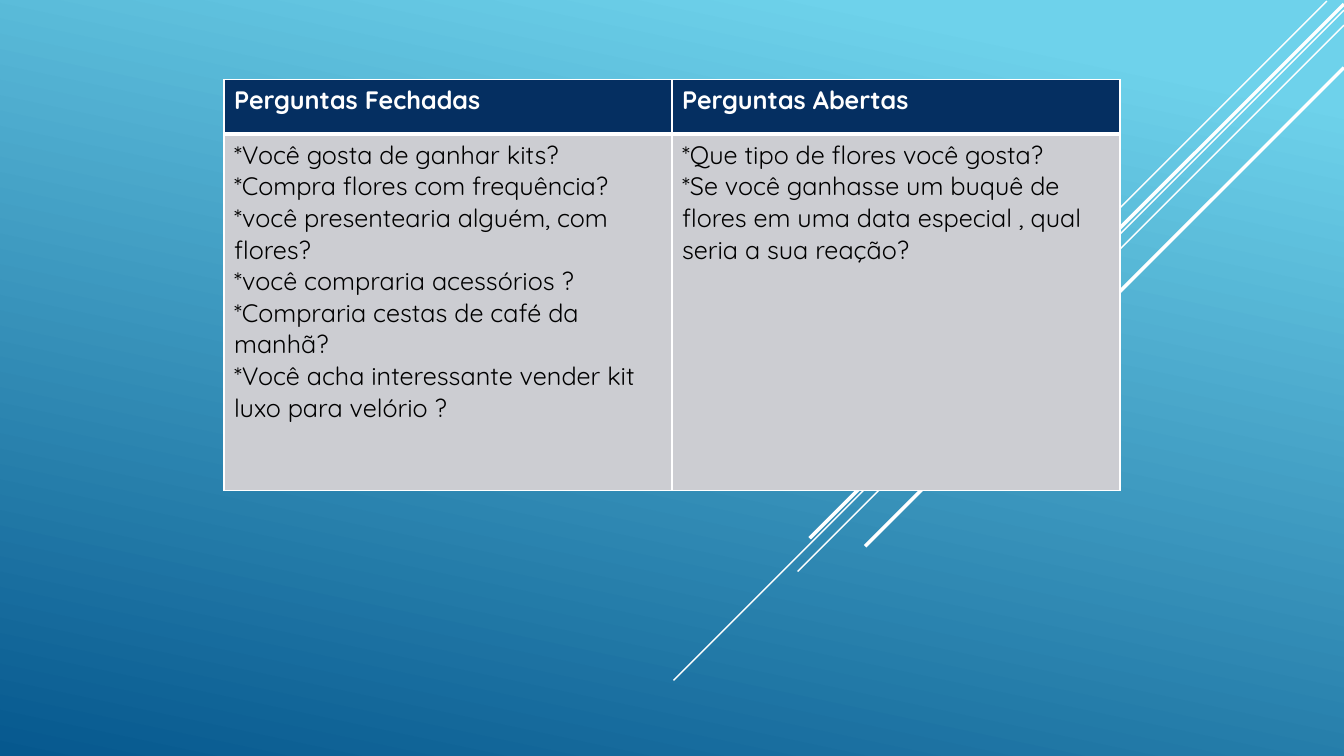
import pptx
import pptx.dml.color
import pptx.enum.shapes
import pptx.oxml
import pptx.oxml.ns
import pptx.util
from lxml import etree

COLUMNS = [
    ("Perguntas Fechadas", [
        "*Você gosta de ganhar kits?",
        "*Compra flores com frequência?",
        "*você presentearia alguém, com flores?",
        "*você compraria acessórios ?",
        "*Compraria cestas de café da manhã?",
        "*Você acha interessante vender kit luxo para velório ?",
    ]),
    ("Perguntas Abertas", [
        "*Que tipo de flores você gosta?",
        "*Se você ganhasse um buquê de flores em uma data especial , "
        "qual seria a sua reação?",
    ]),
]

# Diagonal rays: start x, start y, run down and to the left, line width
RAYS = [
    (13.16, 0.01, 4.17, 1),
    (13.33, 0.10, 6.65, 1),
    (13.33, 0.25, 5.42, 1),
    (13.33, 0.04, 5.30, 2.5),
    (13.33, 0.67, 4.75, 2.5),
]

THEME = {
    "font": "Quicksand", "size": 18,
    "sky": "6ED2EB", "sea": "06588E", "line": "FFFFFF",
    "header": {"fill": "052F61", "text": "FFFFFF", "bold": True},
    "body": {"fill": "CCCDD2", "text": "000000", "bold": False},
    "border": 1, "rule": 3,
}

WIDTH, HEIGHT = 13.33, 7.5
TABLE_WIDTH = WIDTH * 2 / 3
TABLE_LEFT = (WIDTH - TABLE_WIDTH) / 2
TABLE_TOP = 0.79
ROW_HEIGHTS = [0.54, 3.54]

Inches = pptx.util.Inches
qn = pptx.oxml.ns.qn


def color(code):
    """Turn a hex code into a colour."""
    return pptx.dml.color.RGBColor.from_string(code)


def paint_background(page):
    """Fill the page with a slanted gradient."""
    fill = page.background.fill
    fill.gradient()
    fill.gradient_angle = 360 - 102
    stops = zip(fill.gradient_stops, [(0.1, "sky"), (1, "sea")])
    for stop, (position, name) in stops:
        stop.position = position
        stop.color.rgb = color(THEME[name])


def draw_ray(page, x, y, run, width):
    """Draw one 45-degree line down and to the left."""
    ray = page.shapes.add_connector(
        pptx.enum.shapes.MSO_CONNECTOR.STRAIGHT,
        Inches(x), Inches(y), Inches(x - run), Inches(y + run))
    ray.line.color.rgb = color(THEME["line"])
    ray.line.width = pptx.util.Pt(width)
    etree.SubElement(ray._element.spPr, qn("a:effectLst"))


def set_borders(cell, top, bottom):
    """Outline a cell, with its own widths at top and bottom."""
    widths = {"L": THEME["border"], "R": THEME["border"],
              "T": top, "B": bottom}
    properties = cell._tc.get_or_add_tcPr()
    for place, (side, width) in enumerate(widths.items()):
        edge = etree.Element(qn(f"a:ln{side}"), w=str(pptx.util.Pt(width)))
        paint = etree.SubElement(edge, qn("a:solidFill"))
        etree.SubElement(paint, qn("a:srgbClr"), val=THEME["line"])
        properties.insert(place, edge)


def fill_cell(cell, lines, style, top, bottom):
    """Write lines into a cell and style it."""
    cell.fill.solid()
    cell.fill.fore_color.rgb = color(style["fill"])
    set_borders(cell, top, bottom)
    cell.text_frame.text = "\n".join(lines)
    for para in cell.text_frame.paragraphs:
        for span in para.runs:
            span.font.name = THEME["font"]
            span.font.size = pptx.util.Pt(THEME["size"])
            span.font.bold = style["bold"]
            span.font.color.rgb = color(style["text"])


def add_questions(page):
    """Add the table of closed and open questions."""
    table = page.shapes.add_table(
        len(ROW_HEIGHTS), len(COLUMNS), Inches(TABLE_LEFT), Inches(TABLE_TOP),
        Inches(TABLE_WIDTH), Inches(sum(ROW_HEIGHTS))).table
    for row, height in zip(table.rows, ROW_HEIGHTS):
        row.height = Inches(height)
    thin, thick = THEME["border"], THEME["rule"]
    for index, (heading, questions) in enumerate(COLUMNS):
        table.columns[index].width = Inches(TABLE_WIDTH / len(COLUMNS))
        fill_cell(table.cell(0, index), [heading], THEME["header"], thin, thick)
        fill_cell(table.cell(1, index), questions, THEME["body"], thick, thin)


deck = pptx.Presentation()
deck.slide_width, deck.slide_height = Inches(WIDTH), Inches(HEIGHT)
page = deck.slides.add_slide(deck.slide_layouts.get_by_name("Blank"))
paint_background(page)
for ray in RAYS:
    draw_ray(page, *ray)
add_questions(page)
deck.save("out.pptx")
